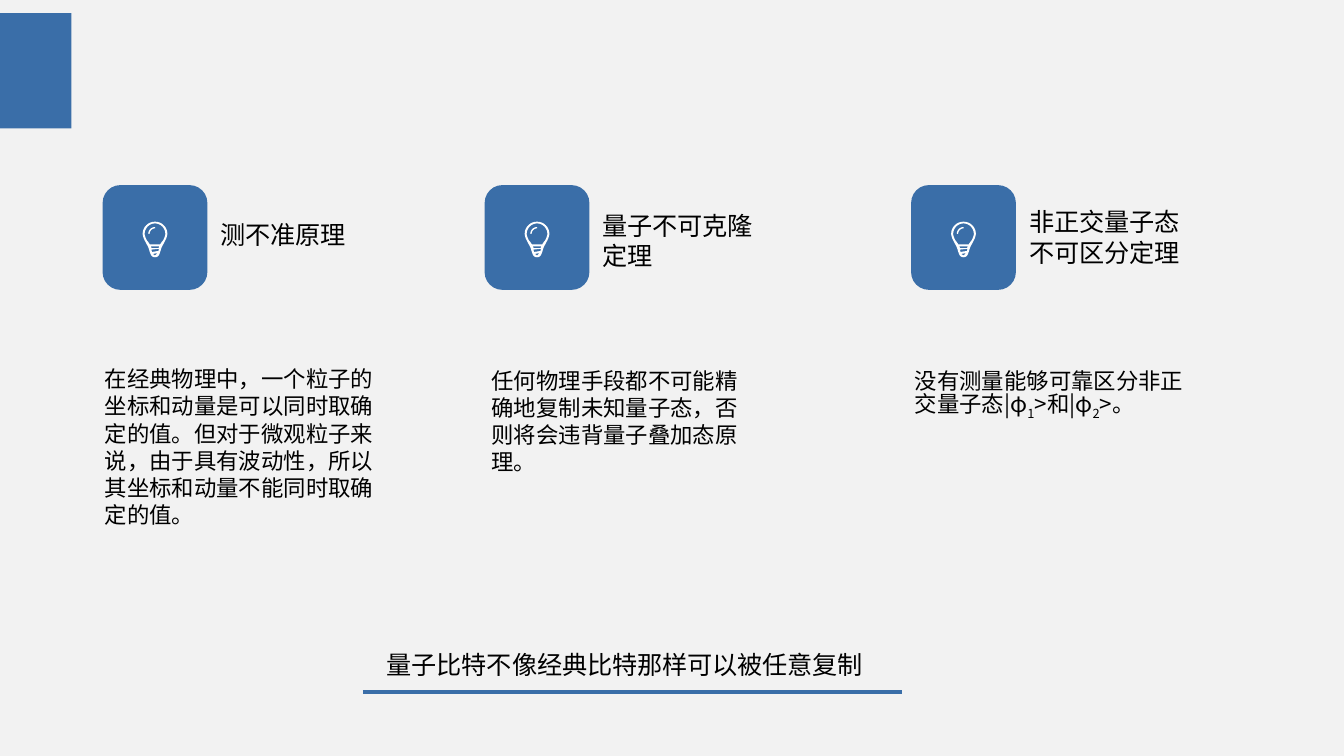
from lxml.etree import SubElement
from pptx import Presentation
from pptx.dml.color import RGBColor
from pptx.enum.shapes import MSO_CONNECTOR, MSO_SHAPE
from pptx.enum.text import MSO_AUTO_SIZE
from pptx.oxml.ns import qn
from pptx.util import Cm, Pt

BLUE, WHITE, BLACK, PALE = "3A6EA8", "FFFFFF", "000000", "F2F2F2"
CHINESE_FONT = "Noto Sans CJK SC"
TILE_TOP, TILE_SIZE = 3.5, 1.98
BULB_TOP = TILE_TOP + 0.69
BULB_UNIT = 0.0254  # centimetres

# Bulb outlines, measured from the middle of the bulb's top.
GLASS_OUTER = [(0, 0), (5, 0), (9.2, 4), (9.2, 9), (9.2, 12), (6.5, 16), (5, 19),
               (3.5, 23), (3.5, 26.5), (0, 26.5)]
GLASS_INNER = [(0, 1.3), (4.3, 1.3), (7.7, 5), (7.7, 9), (7.7, 10.5), (7, 12), (6, 14),
               (5, 15), (4.5, 16), (3.8, 17)]
SCREW_BANDS = [
    [(-2.4, 19.8), (-3.2, 18.5), (3.2, 18.5), (2.6, 19.8)],
    [(2.6, 21.8), (-2.2, 22.6), (-2.7, 20.8), (2.9, 20.2)],
    [(0, 25.2), (-1.7, 24), (1.9, 23.4)],
]
GLINT_OUTER = [(-5, 9), (-5, 6.2), (-2.8, 4), (0, 4)]
GLINT_INNER = [(-4, 9), (-4, 6.8), (-2.2, 5), (0, 5)]

COLUMNS = [
    # tile left, heading, its top and width, body, its box
    (1.94, "测不准原理", 4.01, 2.92,
     "在经典物理中，一个粒子的坐标和动量是可以同时取确定的值。但对于微观粒子来说，"
     "由于具有波动性，所以其坐标和动量不能同时取确定的值。", (1.73, 6.78, 5.72, 3.33)),
    (9.16, "量子不可克隆\n定理", 3.84, 3.4,
     "任何物理手段都不可能精确地复制未知量子态，否则将会违背量子叠加态原理。",
     (9.04, 6.81, 5.41, 2.31)),
    (17.22, "非正交量子态\n不可区分定理", 3.78, 3.4,
     "没有测量能够可靠区分非正交量子态|φ_1_>和|φ_2_>。", (17.04, 6.81, 5.87, 1.27)),
]


def color(hex_code):
    return RGBColor.from_string(hex_code)


def sample_curve(points, steps=8):
    """Turn a chain of cubic Bezier segments into a list of points."""
    result = [points[0]]
    for first in range(0, len(points) - 1, 3):
        a, b, c, d = points[first:first + 4]
        for step in range(1, steps + 1):
            t = step / steps
            weights = ((1 - t) ** 3, 3 * t * (1 - t) ** 2, 3 * t * t * (1 - t), t ** 3)
            result.append(tuple(sum(w * p[axis] for w, p in zip(weights, (a, b, c, d)))
                                for axis in (0, 1)))
    return result


def mirrored(points):
    """Complete a right half with its left half."""
    return points + [(-x, y) for x, y in reversed(points)]


class SlideWriter:
    def __init__(self, slide):
        self.slide = slide
        slide.background.fill.solid()
        slide.background.fill.fore_color.rgb = color(PALE)

    def paint(self, shape, fill):
        shape.shadow.inherit = False
        shape.fill.solid()
        shape.fill.fore_color.rgb = color(fill)
        shape.line.fill.background()

    def block(self, shapes, kind, left, top, width, height):
        shape = shapes.add_shape(kind, Cm(left), Cm(top), Cm(width), Cm(height))
        self.paint(shape, BLUE)
        return shape

    def outline(self, shapes, center, contours):
        """Draw closed contours as one white freeform."""
        placed = [[(Cm(center + x * BULB_UNIT), Cm(BULB_TOP + y * BULB_UNIT))
                   for x, y in contour] for contour in contours]
        builder = shapes.build_freeform(*placed[0][0])
        builder.add_line_segments(placed[0][1:])
        for contour in placed[1:]:
            builder.move_to(*contour[0])
            builder.add_line_segments(contour[1:])
        self.paint(builder.convert_to_shape(), WHITE)

    def bulb_tile(self, left):
        shapes = self.slide.shapes.add_group_shape().shapes
        tile = self.block(shapes, MSO_SHAPE.ROUNDED_RECTANGLE,
                          left, TILE_TOP, TILE_SIZE, TILE_SIZE)
        tile.adjustments[0] = 0.17
        center = left + TILE_SIZE / 2
        glass = [mirrored(sample_curve(half)) for half in (GLASS_OUTER, GLASS_INNER)]
        self.outline(shapes, center, glass + SCREW_BANDS)
        glint = sample_curve(GLINT_OUTER) + sample_curve(GLINT_INNER)[::-1]
        self.outline(shapes, center, [glint])

    def text(self, content, box, size, font=CHINESE_FONT, wrap=True):
        """Write one paragraph per line; text between underscores is subscript."""
        shape = self.slide.shapes.add_textbox(*map(Cm, box))
        frame = shape.text_frame
        frame.word_wrap = wrap
        frame.auto_size = MSO_AUTO_SIZE.SHAPE_TO_FIT_TEXT
        frame.text = content
        for paragraph in frame.paragraphs:
            paragraph.line_spacing = Pt(round(size * 1.21, 1))
            pieces = paragraph.text.split("_")
            paragraph.text = pieces[0]
            for piece in pieces[1:]:
                paragraph.add_run().text = piece
            for index, run in enumerate(paragraph.runs):
                run.font.size = Pt(size)
                run.font.color.rgb = color(BLACK)
                run.font.name = font
                properties = run.font._element
                SubElement(properties, qn("a:ea"), typeface=CHINESE_FONT)
                if index % 2:
                    properties.set("baseline", "-25000")

    def rule(self, left, right, y):
        line = self.slide.shapes.add_connector(
            MSO_CONNECTOR.STRAIGHT, Cm(left), Cm(y), Cm(right), Cm(y))
        line.line.color.rgb = color(BLUE)
        line.line.width = Pt(2.25)
        SubElement(line._element.spPr, qn("a:effectLst"))


def main():
    presentation = Presentation()
    presentation.slide_width, presentation.slide_height = Cm(25.4), Cm(14.29)
    writer = SlideWriter(presentation.slides.add_slide(presentation.slide_layouts[6]))

    writer.block(writer.slide.shapes, MSO_SHAPE.RECTANGLE, 0, 0.25, 1.35, 2.18)
    for left, heading, heading_top, heading_width, body, body_box in COLUMNS:
        writer.bulb_tile(left)
        lines = heading.count("\n") + 1
        heading_box = (left + TILE_SIZE, heading_top, heading_width, 0.25 + 0.58 * lines)
        font = "Calibri" if lines == 1 else CHINESE_FONT
        writer.text(heading, heading_box, 13.5, font, wrap=False)
        writer.text(body, body_box, 12)
    writer.text("量子比特不像经典比特那样可以被任意复制", (7.06, 12.14, 9.65, 0.84),
                13.5, "Calibri", wrap=False)
    writer.rule(6.86, 17.04, 13.08)

    presentation.save("out.pptx")


if __name__ == "__main__":
    main()
